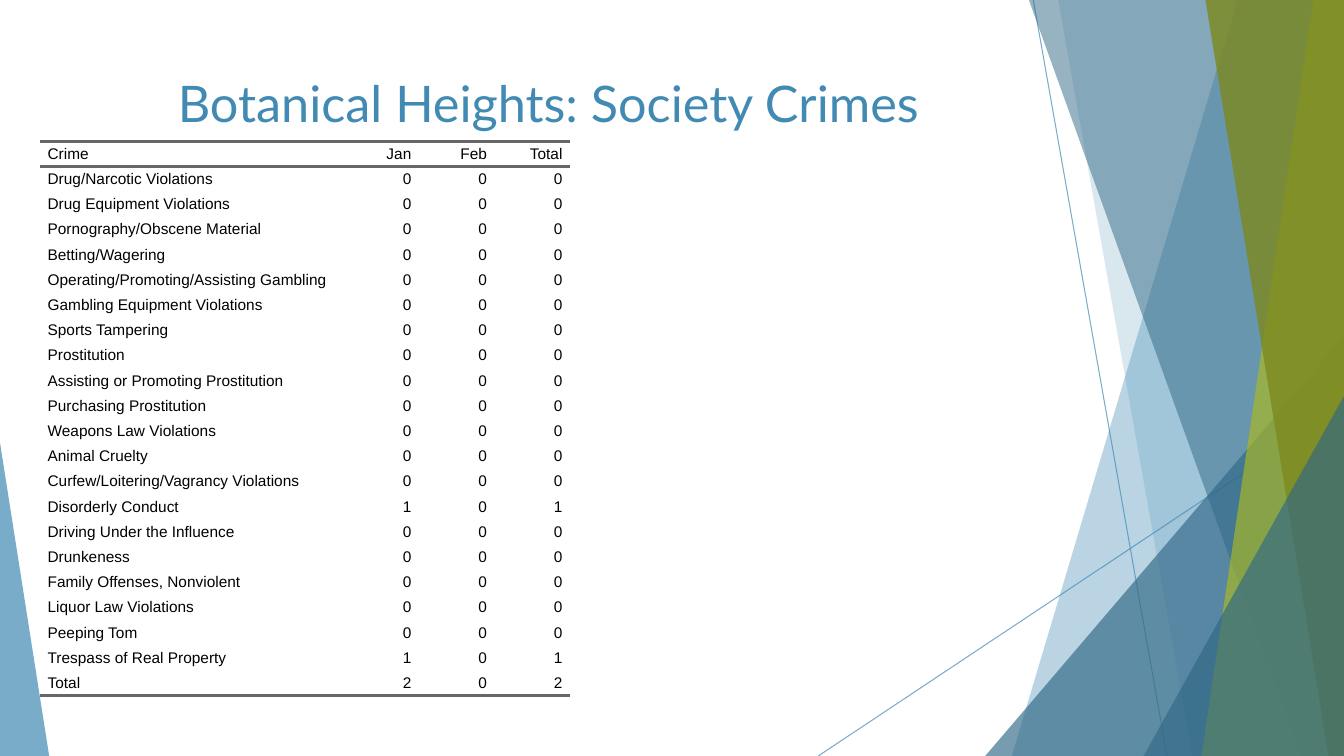
from pptx import Presentation
from pptx.dml.color import RGBColor
from pptx.enum.shapes import MSO_CONNECTOR, MSO_SHAPE
from pptx.enum.text import MSO_ANCHOR, PP_ALIGN
from pptx.oxml.ns import qn
from pptx.util import Cm, Pt
from lxml.etree import SubElement

BLUE, NAVY, LIME, OLIVE = "418AB3", "316886", "A6B727", "7D891D"
BLACK, GREY = "000000", "666666"
NO_STYLE = "{2D5ABB26-0587-4C30-8999-92F81FD0307C}"

HEADER = ("Crime", "Jan", "Feb", "Total")
CRIMES = (
    "Drug/Narcotic Violations", "Drug Equipment Violations",
    "Pornography/Obscene Material", "Betting/Wagering",
    "Operating/Promoting/Assisting Gambling", "Gambling Equipment Violations",
    "Sports Tampering", "Prostitution", "Assisting or Promoting Prostitution",
    "Purchasing Prostitution", "Weapons Law Violations", "Animal Cruelty",
    "Curfew/Loitering/Vagrancy Violations", "Disorderly Conduct",
    "Driving Under the Influence", "Drunkeness", "Family Offenses, Nonviolent",
    "Liquor Law Violations", "Peeping Tom", "Trespass of Real Property",
)
COUNTS = {"Disorderly Conduct": (1, 0), "Trespass of Real Property": (1, 0)}


def set_color(fill, color, opacity=100):
    """Make a fill solid with a hex colour and an opacity in percent."""
    fill.solid()
    fill.fore_color.rgb = RGBColor.from_string(color)
    if opacity < 100:
        clr = next(fill._xPr.iter(qn("a:srgbClr")))
        SubElement(clr, qn("a:alpha"), val=str(opacity * 1000))


def finish(sp, color, opacity):
    """Give a shape its translucent fill, without outline or shadow."""
    set_color(sp.fill, color, opacity)
    sp.line.fill.background()
    sp.shadow.inherit = False


def add_line(s, x1, y1, x2, y2):
    """Draw a thin translucent blue line."""
    line = s.shapes.add_connector(
        MSO_CONNECTOR.STRAIGHT, Cm(x1), Cm(y1), Cm(x2), Cm(y2))
    line.line.width = Pt(0.75)
    set_color(line.line.fill, BLUE, 70)
    SubElement(line._element.spPr, qn("a:effectLst"))


def add_band(s, box, top_x, bottom_x, color, opacity):
    """Fill the part of the box to the right of a slanted edge."""
    x, y, w, h = box
    corners = [(x + top_x, y), (x + w, y), (x + w, y + h), (x + bottom_x, y + h)]
    points = [(Cm(px), Cm(py)) for px, py in corners]
    builder = s.shapes.build_freeform(*points[0], scale=1.0)
    builder.add_line_segments(points[1:], close=True)
    finish(builder.convert_to_shape(), color, opacity)


def add_triangle(s, box, w, h, color, opacity, right=True):
    """Put a right triangle in the lower right or lower left corner of the box."""
    x, y, box_w, box_h = box
    left = x + box_w - w if right else x
    sp = s.shapes.add_shape(MSO_SHAPE.ISOSCELES_TRIANGLE,
                            Cm(left), Cm(y + box_h - h), Cm(w), Cm(h))
    sp.adjustments[0] = 1 if right else 0
    finish(sp, color, opacity)


def add_facets(s, box):
    """Build the overlapping facets on the right side."""
    x, y, w, h = box
    add_line(s, x + 5.42, y, x + 8.79, y + h)
    add_line(s, x + w, y + 10.24, x, y + h)
    add_band(s, box, 10.57, 4.88, BLUE, 36)
    add_band(s, box, 6.05, 9.43, BLUE, 20)
    add_triangle(s, box, 9.04, 10.58, NAVY, 66)
    add_band(s, box, 5.31, 12.17, NAVY, 50)
    add_band(s, box, 12.48, 9.66, LIME, 70)
    add_band(s, box, 9.76, 12.86, OLIVE, 80)
    add_triangle(s, box, 5.05, 9.07, NAVY, 66)


def add_rule(cell, side):
    """Draw a grey rule on the top (T) or bottom (B) of a cell."""
    ln = SubElement(cell._tc.get_or_add_tcPr(), qn(f"a:ln{side}"), w=str(Pt(2)))
    SubElement(SubElement(ln, qn("a:solidFill")), qn("a:srgbClr"), val=GREY)


def fill_cell(cell, value, align, rules):
    """Write one table cell with its alignment and rules."""
    for side in rules:
        add_rule(cell, side)
    cell.fill.background()
    cell.margin_left = cell.margin_right = Cm(0.18)
    cell.margin_top = cell.margin_bottom = 0
    cell.vertical_anchor = MSO_ANCHOR.MIDDLE
    p = cell.text_frame.paragraphs[0]
    p.text = str(value)
    p.alignment = align
    p.font.name, p.font.size = "Arial", Pt(11)
    set_color(p.font.fill, BLACK)


def add_crime_table(s, box):
    """Build the table of crimes with row and column totals."""
    months = [COUNTS.get(crime, (0, 0)) for crime in CRIMES]
    labels = (*CRIMES, "Total")
    months.append(tuple(map(sum, zip(*months))))
    rows = [HEADER] + [(label, *m, sum(m)) for label, m in zip(labels, months)]
    x, y, w, h = box
    table = s.shapes.add_table(
        len(rows), len(HEADER), Cm(x), Cm(y), Cm(w), Cm(h)).table
    table.first_row = table.horz_banding = False
    table._tbl.tblPr.find(qn("a:tableStyleId")).text = NO_STYLE
    for c, column in enumerate(table.columns):
        column.width = Cm(w * (1 / 7 if c else 4 / 7))
    rules = {0: "TB", len(rows) - 1: "B"}
    for r, row in enumerate(rows):
        table.rows[r].height = Cm(h / len(rows))
        for c, value in enumerate(row):
            align = PP_ALIGN.RIGHT if c else PP_ALIGN.LEFT
            fill_cell(table.cell(r, c), value, align, rules.get(r, ""))


def set_title(s, box, text):
    """Move and format the title placeholder, in front of the other parts."""
    title = s.shapes.title
    title.left, title.top, title.width, title.height = map(Cm, box)
    title._element.getparent().append(title._element)
    tf = title.text_frame
    tf.word_wrap = True
    tf.vertical_anchor = MSO_ANCHOR.TOP
    p = tf.paragraphs[0]
    p.text = text
    p.alignment = PP_ALIGN.CENTER
    p.font.name, p.font.size = "Lato", Pt(36)
    set_color(p.font.fill, BLUE)


def main():
    """Build and save the slide."""
    prs = Presentation()
    prs.slide_width, prs.slide_height = Cm(33.87), Cm(19.05)
    s = prs.slides.add_slide(prs.slide_layouts[5])
    add_facets(s, (20.62, 0, 13.25, 19.05))
    add_triangle(s, (0, 0, 33.87, 19.05), 1.24, 7.9, BLUE, 70, right=False)
    add_crime_table(s, (1.02, 3.56, 13.34, 13.97))
    set_title(s, (1.88, 1.7, 23.88, 3.66), "Botanical Heights: Society Crimes")
    prs.save("out.pptx")


main()
